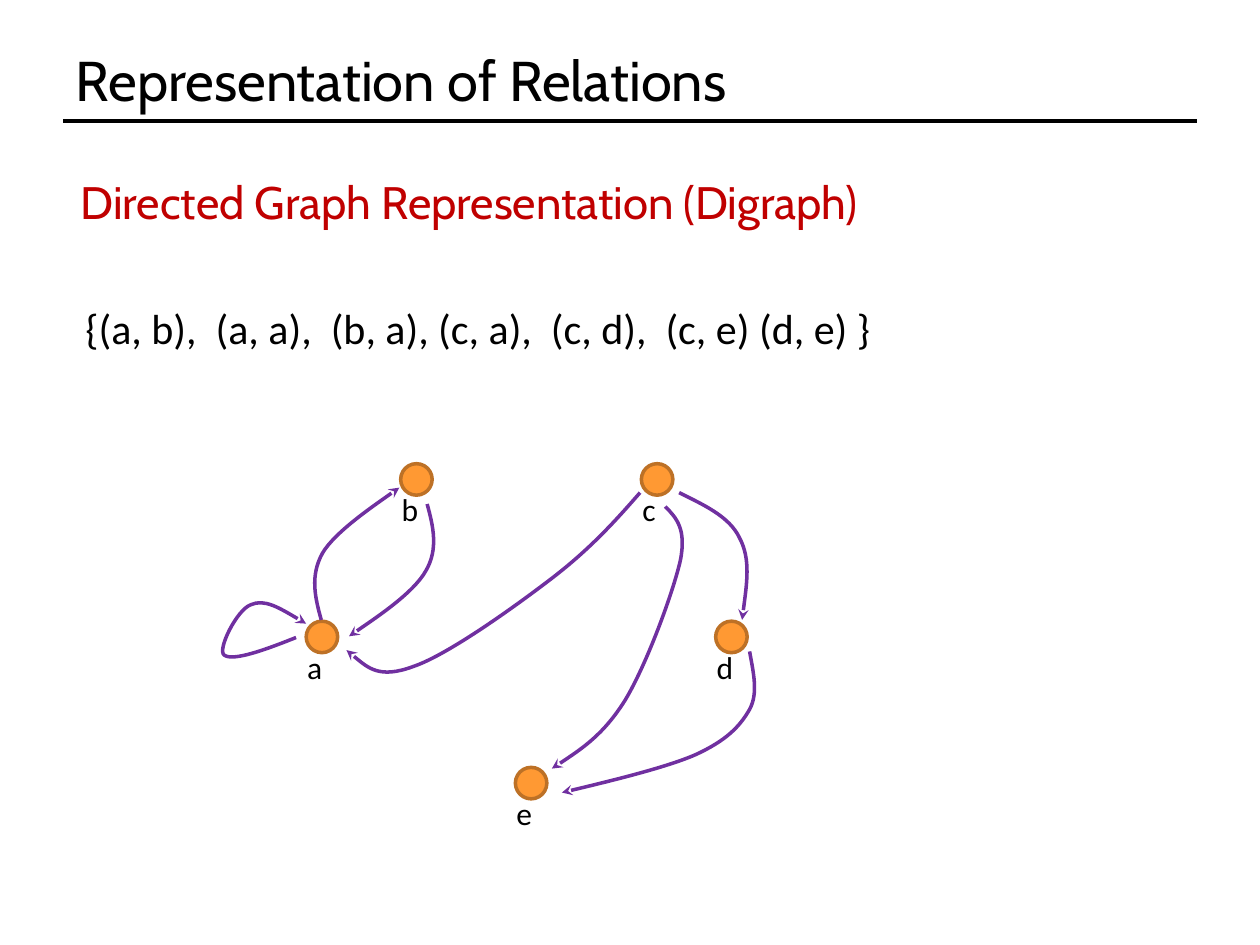
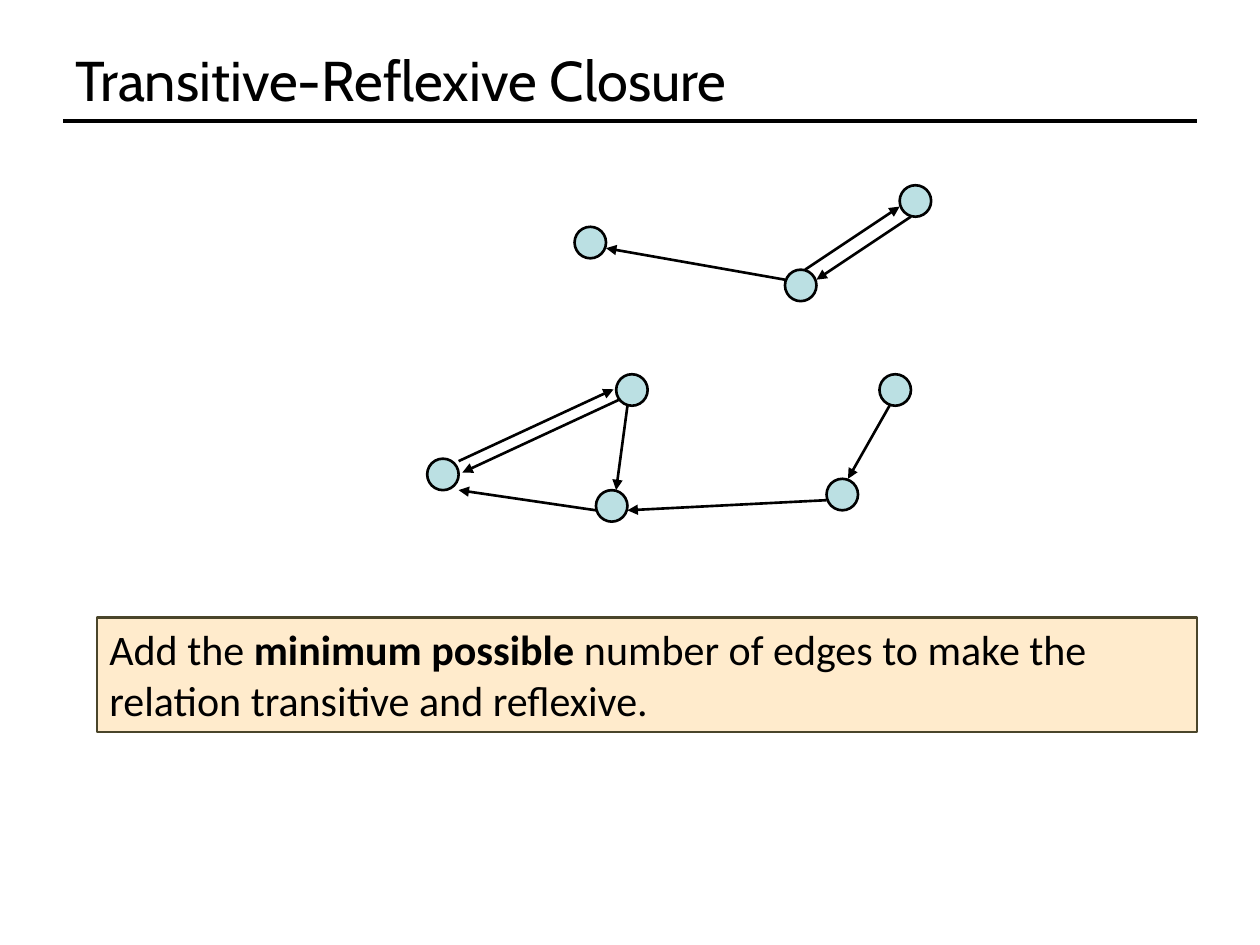
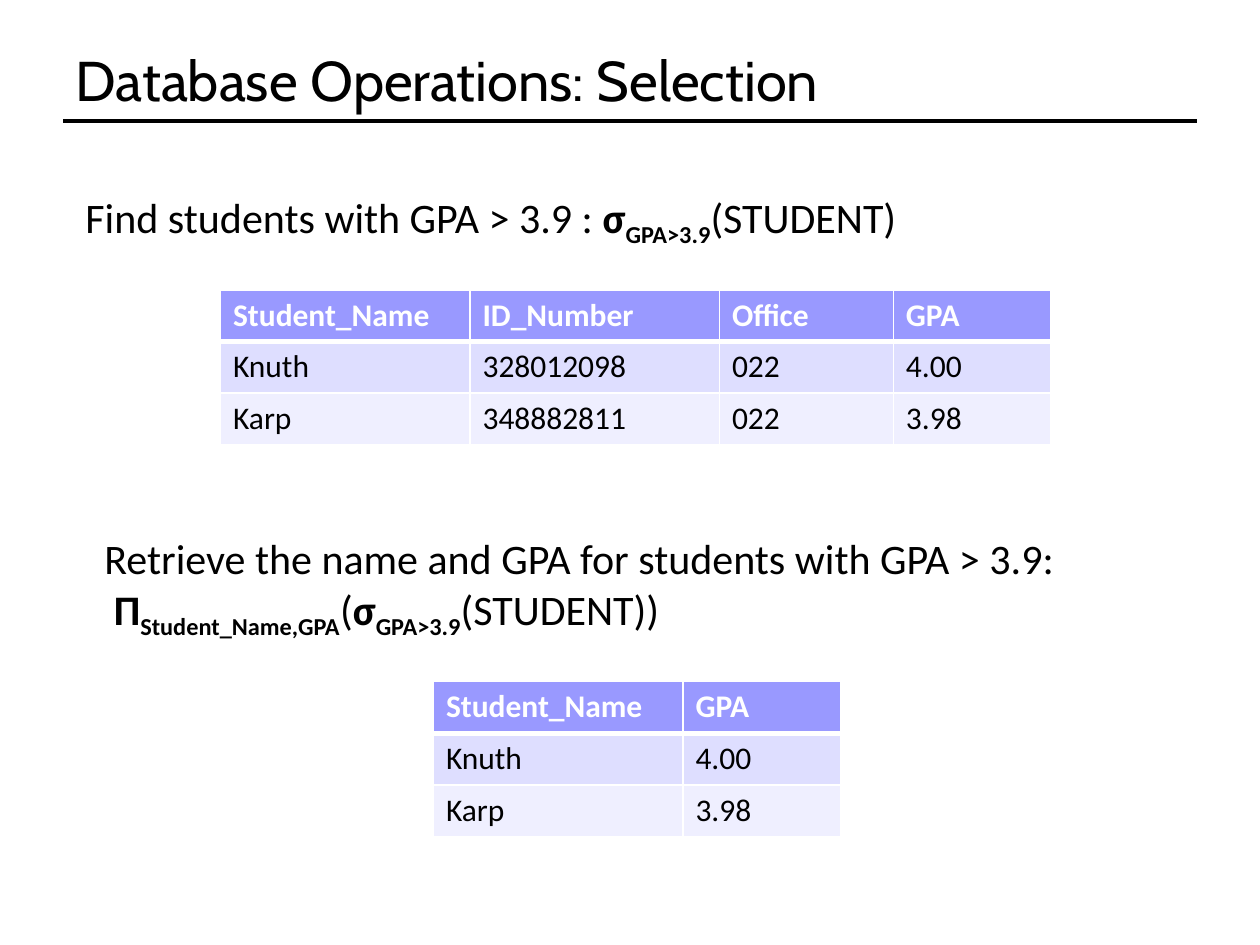
from lxml.etree import SubElement
from pptx import Presentation
from pptx.dml.color import RGBColor
from pptx.enum.shapes import MSO_CONNECTOR, MSO_SHAPE
from pptx.enum.text import MSO_ANCHOR, MSO_AUTO_SIZE, PP_ALIGN
from pptx.oxml.ns import qn
from pptx.util import Inches, Pt

# Shared style
TITLE_FONT, BODY_FONT = "Cabin", "Calibri"
BLACK, WHITE, RED, PURPLE = "000000", "FFFFFF", "C00000", "7030A0"
ORANGE, BROWN, TEAL = "FF9933", "BD7126", "BBE0E3"
CREAM, OLIVE = "FFEBCC", "4A452A"
HEADER_FILL, ROW_FILLS = "9999FF", ("DEDEFF", "EFEFFF")
TITLE_BOX = (0.5, 0.3, 9, 0.66)
NODE_SIZE = 0.25
ROW_HEIGHT = 0.41

# Slide 1: nodes by top left corner, edges as a start and then cubic curves
# (two control points and an end point each)
PAIRS = "{(a, b),  (a, a),  (b, a), (c, a),  (c, d),  (c, e) (d, e) }"
DIGRAPH_NODES = {"a": (2.43, 4.93), "b": (3.18, 3.68), "c": (5.09, 3.68),
                 "d": (5.68, 4.93), "e": (4.09, 6.09)}
LABEL_BOX = (-0.09, 0.16, 0.33, 0.4)  # relative to its node
DIGRAPH_EDGES = {
    "ab": [(2.55, 4.92), (2.5, 4.74), (2.46, 4.57), (2.56, 4.39),
           (2.66, 4.22), (3.17, 3.87), (3.17, 3.87)],
    "ba": [(3.39, 4), (3.44, 4.18), (3.48, 4.36), (3.38, 4.53),
           (3.28, 4.71), (2.77, 5.05), (2.77, 5.05)],
    "aa": [(2.35, 5.06), (2.1, 5.16), (1.85, 5.25), (1.78, 5.2),
           (1.72, 5.16), (1.88, 4.84), (1.99, 4.8),
           (2.1, 4.75), (2.26, 4.85), (2.43, 4.95)],
    "ca": [(5.08, 3.91), (4.88, 4.14), (4.68, 4.36), (4.38, 4.59),
           (4.08, 4.82), (3.55, 5.2), (3.28, 5.29),
           (3.01, 5.39), (2.88, 5.27), (2.75, 5.16)],
    "cd": [(5.39, 3.91), (5.59, 4.01), (5.79, 4.1), (5.87, 4.27),
           (5.96, 4.44), (5.92, 4.68), (5.89, 4.92)],
    "ce": [(5.28, 4.02), (5.37, 4.11), (5.45, 4.2), (5.4, 4.45),
           (5.34, 4.71), (5.13, 5.28), (4.96, 5.56),
           (4.79, 5.83), (4.58, 5.97), (4.38, 6.1)],
    "de": [(5.95, 5.17), (5.98, 5.34), (6.02, 5.5), (5.95, 5.63),
           (5.87, 5.77), (5.76, 5.88), (5.52, 5.99),
           (5.27, 6.1), (4.46, 6.29), (4.46, 6.29)],
}

# Slide 2: nodes by top left corner, edges as (start, end) with the arrow at the end
CLOSURE_NODES = [(4.89, 2.97), (6.23, 2.14), (3.39, 3.64), (4.73, 3.89),
                 (4.56, 1.8), (7.14, 1.47), (6.98, 2.97), (6.56, 3.8)]
CLOSURE_EDGES = [
    ((3.64, 3.66), (4.87, 3.09)), ((4.92, 3.17), (3.67, 3.75)),
    ((4.73, 4.05), (3.64, 3.89)), ((4.98, 3.22), (4.89, 3.89)),
    ((6.56, 3.97), (4.98, 4.05)), ((7.06, 3.22), (6.73, 3.8)),
    ((6.23, 2.22), (4.81, 1.97)), ((7.23, 1.72), (6.48, 2.22)),
    ((6.39, 2.14), (7.14, 1.64)),
]

# Text segments are (text, style): "" plain, "b" bold, "s" bold subscript
TASK = [("Add the ", ""), ("minimum possible", "b"),
        (" number of edges to make the relation transitive and reflexive.", "")]

# Slide 3
SELECTION = [("Find students with GPA > 3.9 : ", ""), ("σ", "b"),
             ("GPA>3.9", "s"), ("(STUDENT)", "")]
PROJECTION = [("Retrieve the name and GPA for students with GPA > 3.9:", ""),
              ("\n", ""), (" ", ""), ("Π", "b"), ("Student_Name,GPA", "s"),
              ("(", ""), ("σ", "b"), ("GPA>3.9", "s"), ("(STUDENT))", "")]
COLUMN_WIDTHS = {"Student_Name": 1.98, "ID_Number": 1.98, "Office": 1.38, "GPA": 1.25}
STUDENTS = [
    {"Student_Name": "Knuth", "ID_Number": "328012098", "Office": "022", "GPA": "4.00"},
    {"Student_Name": "Karp", "ID_Number": "348882811", "Office": "022", "GPA": "3.98"},
]


def color(hex_string):
    return RGBColor.from_string(hex_string)


def inches(values):
    return [Inches(value) for value in values]


def format_run(run, size, hex_string=BLACK, font=BODY_FONT, bold=False):
    run.font.size = Pt(size)
    run.font.name = font
    run.font.bold = bold
    run.font.color.rgb = color(hex_string)


def write_segments(paragraph, segments, size=24):
    for text, style in segments:
        if text == "\n":
            paragraph.add_line_break()
            continue
        run = paragraph.add_run()
        run.text = text
        format_run(run, size, bold=style != "")
        if style == "s":
            run.font._element.set("baseline", "-25000")


def add_text(slide, box, text, size=24, hex_string=BLACK, font=BODY_FONT):
    """Add a one-paragraph text box from a string or a list of segments."""
    text_frame = slide.shapes.add_textbox(*inches(box)).text_frame
    text_frame.word_wrap = False
    paragraph = text_frame.paragraphs[0]
    if isinstance(text, str):
        paragraph.text = text
        format_run(paragraph.runs[0], size, hex_string, font)
    else:
        write_segments(paragraph, text, size)


def style_line(shape, hex_string, width, arrow=None):
    shape.line.color.rgb = color(hex_string)
    shape.line.width = Pt(width)
    if arrow:
        SubElement(shape.element.spPr.find(qn("a:ln")), qn("a:tailEnd"), type=arrow)


def add_shape(slide, kind, box, fill, line, width):
    shape = slide.shapes.add_shape(kind, *inches(box))
    shape.shadow.inherit = False
    shape.fill.solid()
    shape.fill.fore_color.rgb = color(fill)
    style_line(shape, line, width)
    return shape


def add_node(slide, corner, fill, line, width):
    add_shape(slide, MSO_SHAPE.OVAL, (*corner, NODE_SIZE, NODE_SIZE), fill, line, width)


def add_line(slide, start, end, width, arrow=None):
    line = slide.shapes.add_connector(MSO_CONNECTOR.STRAIGHT, *inches(start + end))
    style_line(line, BLACK, width, arrow)
    SubElement(line.element.spPr, qn("a:effectLst"))
    return line


def add_curve(slide, points):
    """Draw an outline through the points, then turn each three segments into a curve."""
    start, *others = [inches(point) for point in points]
    builder = slide.shapes.build_freeform(*start)
    builder.add_line_segments(others, close=False)
    curve = builder.convert_to_shape()
    outline = curve.element.xpath(".//a:path")[0]
    segments = outline.findall(qn("a:lnTo"))
    for first in range(0, len(segments), 3):
        cubic = SubElement(outline, qn("a:cubicBezTo"))
        for segment in segments[first:first + 3]:
            cubic.append(segment[0])
            outline.remove(segment)
    curve.shadow.inherit = False
    curve.fill.background()
    style_line(curve, PURPLE, 2, "stealth")


def set_borders(cell, top, bottom):
    properties = cell._tc.get_or_add_tcPr()
    for side, width in (("L", 1), ("R", 1), ("T", top), ("B", bottom)):
        border = SubElement(properties, qn(f"a:ln{side}"), w=str(Pt(width)))
        SubElement(SubElement(border, qn("a:solidFill")), qn("a:srgbClr"), val=WHITE)


def add_student_table(slide, left, top, names):
    rows = [names] + [[student[name] for name in names] for student in STUDENTS]
    widths = [COLUMN_WIDTHS[name] for name in names]
    box = (left, top, sum(widths), ROW_HEIGHT * len(rows))
    table = slide.shapes.add_table(len(rows), len(names), *inches(box)).table
    for column, width in zip(table.columns, widths):
        column.width = Inches(width)
    for r, values in enumerate(rows):
        header = r == 0
        for c, value in enumerate(values):
            cell = table.cell(r, c)
            set_borders(cell, top=3 if r == 1 else 1, bottom=3 if header else 1)
            cell.fill.solid()
            cell.fill.fore_color.rgb = color(HEADER_FILL if header else ROW_FILLS[(r - 1) % 2])
            cell.text_frame.text = value
            format_run(cell.text_frame.paragraphs[0].runs[0], 18,
                       WHITE if header else BLACK, bold=header)


def add_slide(presentation, title):
    slide = presentation.slides.add_slide(presentation.slide_layouts[5])
    shape = slide.shapes.title
    shape.left, shape.top, shape.width, shape.height = inches(TITLE_BOX)
    text_frame = shape.text_frame
    text_frame.text = title
    text_frame.auto_size = MSO_AUTO_SIZE.NONE
    text_frame.vertical_anchor = MSO_ANCHOR.MIDDLE
    text_frame.paragraphs[0].alignment = PP_ALIGN.LEFT
    format_run(text_frame.paragraphs[0].runs[0], 32, font=TITLE_FONT)
    return slide


def build_digraph(presentation):
    slide = add_slide(presentation, "Representation of Relations")
    # The rule under the title belongs to the master
    rule = add_line(slide, (0.5, 0.96), (9.5, 0.96), 2)
    presentation.slide_master.placeholders[0].element.addprevious(rule.element)
    add_text(slide, (0.54, 1.33, 6.75, 0.54), "Directed Graph Representation (Digraph)",
             26, RED, TITLE_FONT)
    add_text(slide, (0.58, 2.35, 6.48, 0.5), PAIRS)
    dx, dy, width, height = LABEL_BOX
    for name, (x, y) in DIGRAPH_NODES.items():
        add_node(slide, (x, y), ORANGE, BROWN, 2)
        add_text(slide, (x + dx, y + dy, width, height), name, 18)
    for points in DIGRAPH_EDGES.values():
        add_curve(slide, points)


def build_closure(presentation):
    slide = add_slide(presentation, "Transitive-Reflexive Closure")
    for corner in CLOSURE_NODES:
        add_node(slide, corner, TEAL, BLACK, 1.5)
    for start, end in CLOSURE_EDGES:
        add_line(slide, start, end, 1.5, "triangle")
    task = add_shape(slide, MSO_SHAPE.RECTANGLE, (0.77, 4.9, 8.73, 0.91), CREAM, OLIVE, 1.5)
    task.text_frame.word_wrap = True
    task.text_frame.vertical_anchor = MSO_ANCHOR.TOP
    paragraph = task.text_frame.paragraphs[0]
    paragraph.alignment = PP_ALIGN.LEFT
    write_segments(paragraph, TASK)


def build_selection(presentation):
    slide = add_slide(presentation, "Database Operations: Selection")
    add_text(slide, (0.58, 1.47, 6.77, 0.5), SELECTION)
    add_student_table(slide, 1.75, 2.3, list(COLUMN_WIDTHS))
    add_text(slide, (0.73, 4.18, 7.81, 0.91), PROJECTION)
    add_student_table(slide, 3.44, 5.41, ["Student_Name", "GPA"])


def main():
    presentation = Presentation()
    presentation.slide_width, presentation.slide_height = Inches(10), Inches(7.5)
    build_digraph(presentation)
    build_closure(presentation)
    build_selection(presentation)
    presentation.save("out.pptx")


if __name__ == "__main__":
    main()
